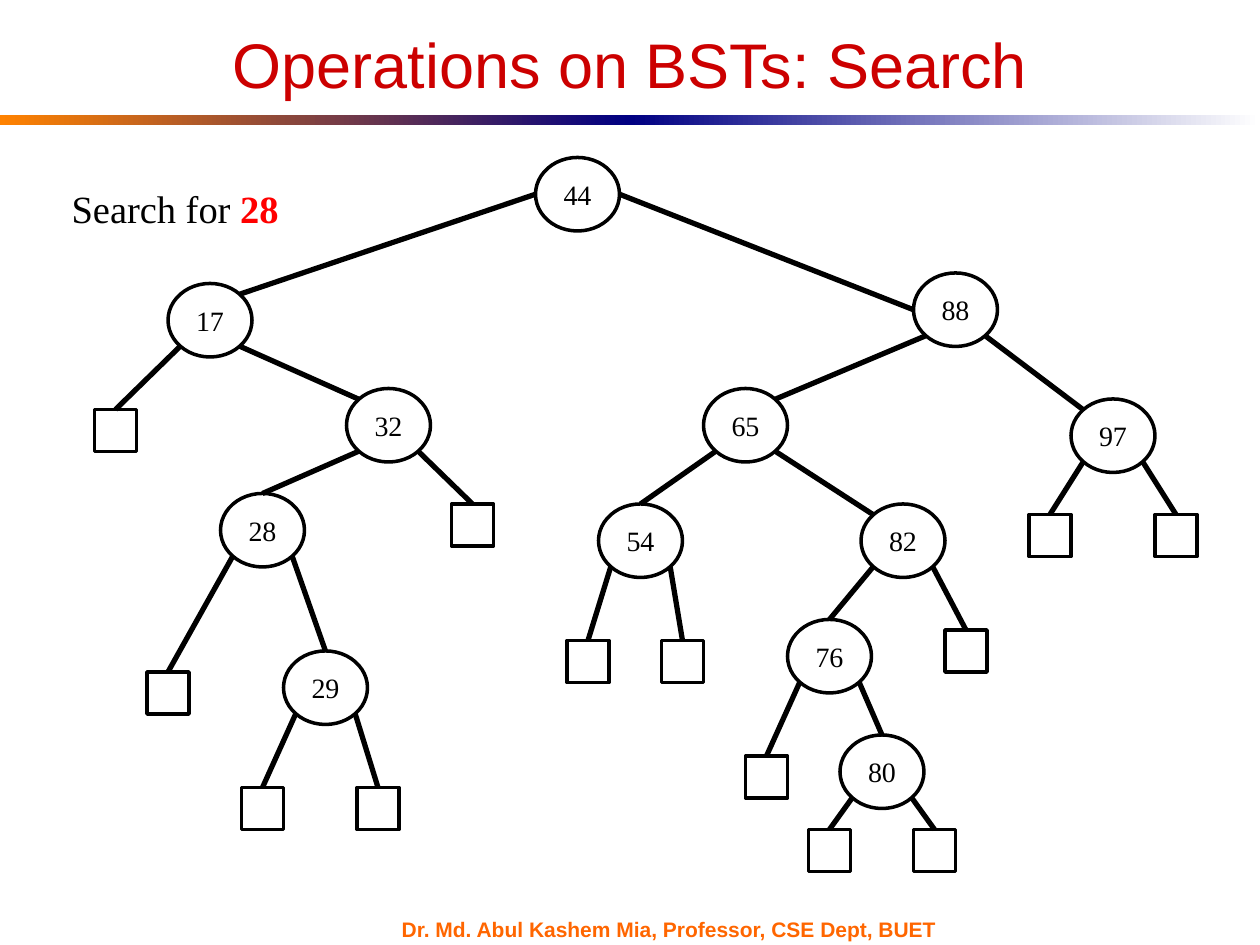
from math import sqrt

from lxml import etree
from pptx import Presentation
from pptx.dml.color import RGBColor
from pptx.enum.shapes import MSO_CONNECTOR, MSO_SHAPE
from pptx.enum.text import MSO_ANCHOR, MSO_AUTO_SIZE, PP_ALIGN
from pptx.oxml.ns import qn
from pptx.util import Inches, Pt

OVAL, RECTANGLE = MSO_SHAPE.OVAL, MSO_SHAPE.RECTANGLE
STRAIGHT = MSO_CONNECTOR.STRAIGHT
MIDDLE, TOP = MSO_ANCHOR.MIDDLE, MSO_ANCHOR.TOP
CENTER = PP_ALIGN.CENTER
NO_AUTOFIT = MSO_AUTO_SIZE.NONE

BLACK = RGBColor(0x00, 0x00, 0x00)
WHITE = RGBColor(0xFF, 0xFF, 0xFF)
RED = RGBColor(0xFF, 0x00, 0x00)
TITLE_RED = RGBColor(0xCC, 0x00, 0x00)
ORANGE = RGBColor(0xFF, 0x82, 0x00)
NAVY = RGBColor(0x00, 0x00, 0x82)
FOOTER_ORANGE = RGBColor(0xFF, 0x66, 0x00)
SANS, SERIF = "Arial", "Times New Roman"

TITLE = "Operations on BSTs: Search"
FOOTER = "Dr. Md. Abul Kashem Mia, Professor, CSE Dept, BUET"
PROMPT = [("Search for ", BLACK, False), ("28", RED, True)]

# The tree lies on a grid of twelve cells to the inch.
CELL = Inches(1) / 12
NODE_SIZE = (8, 7)
LEAF_SIZE = (4, 4)

# key: (column, row), left child, right child; a child is a key or a leaf's cell
TREE = {
    44: ((51, 15), 17, 88),
    17: ((16, 27), (9, 39), 32),
    32: ((33, 37), 28, (43, 48)),
    28: ((21, 47), (14, 64), 29),
    29: ((27, 62), (23, 75), (34, 75)),
    88: ((87, 26), 65, 97),
    65: ((67, 37), 54, 82),
    97: ((102, 38), (98, 49), (110, 49)),
    54: ((57, 48), (54, 61), (63, 61)),
    82: ((82, 48), 76, (90, 60)),
    76: ((75, 59), (71, 72), 80),
    80: ((80, 70), (77, 79), (87, 79)),
}
ROOT = 44

# Points on an oval, as shares of its half width and half height
DIAGONAL = 1 / sqrt(2)
LEFT, RIGHT = (-1, 0), (1, 0)
TOP_LEFT, TOP_RIGHT = (-DIAGONAL, -DIAGONAL), (DIAGONAL, -DIAGONAL)
BOTTOM_LEFT, BOTTOM_RIGHT = (-DIAGONAL, DIAGONAL), (DIAGONAL, DIAGONAL)

# Edges arrive at the top of a child, except at these nodes
ARRIVALS = {17: TOP_RIGHT, 32: TOP_LEFT, 88: LEFT,
            65: TOP_RIGHT, 97: TOP_LEFT, 82: TOP_LEFT}


def style_run(run, font, size, color, bold=False):
    run.font.name = font
    run.font.size = Pt(size)
    run.font.color.rgb = color
    run.font.bold = bold


def add_label(page, box, runs, font, size, anchor):
    """Add an unwrapped text box; runs are (text, colour, bold)."""
    label = page.shapes.add_textbox(*map(Inches, box))
    frame = label.text_frame
    frame.word_wrap = False
    frame.vertical_anchor = anchor
    for text, color, bold in runs:
        run = frame.paragraphs[0].add_run()
        run.text = text
        style_run(run, font, size, color, bold)


def add_title(page):
    title = page.shapes.title
    title.left, title.top = Inches(0.5), Inches(0.25)
    title.width, title.height = Inches(9), Inches(0.51)
    frame = title.text_frame
    frame.text = TITLE
    frame.auto_size = NO_AUTOFIT
    frame.vertical_anchor = MIDDLE
    frame.paragraphs[0].alignment = CENTER
    style_run(frame.paragraphs[0].runs[0], SANS, 36, TITLE_RED)


def add_gradient_bar(page, left, colors):
    bar = page.shapes.add_shape(RECTANGLE, Inches(left), Inches(0.91),
                                Inches(5), Inches(0.08))
    bar.shadow.inherit = False
    bar.line.fill.background()
    bar.fill.gradient()
    bar.fill.gradient_angle = 0
    for stop, color in zip(bar.fill.gradient_stops, colors):
        stop.color.rgb = color


def add_outlined(page, kind, cell, size):
    left, top, width, height = (round(n * CELL) for n in cell + size)
    shape = page.shapes.add_shape(kind, left, top, width, height)
    shape.shadow.inherit = False
    shape.fill.solid()
    shape.fill.fore_color.rgb = WHITE
    shape.line.color.rgb = BLACK
    shape.line.width = Pt(2)
    return shape


def add_node(page, key, cell):
    node = add_outlined(page, OVAL, cell, NODE_SIZE)
    frame = node.text_frame
    frame.text = str(key)
    frame.vertical_anchor = MIDDLE
    frame.paragraphs[0].alignment = CENTER
    style_run(frame.paragraphs[0].runs[0], SERIF, 16, BLACK)
    return node


def point_on(shape, site):
    return (round(shape.left + shape.width / 2 * (1 + site[0])),
            round(shape.top + shape.height / 2 * (1 + site[1])))


def add_edge(page, parent, departure, child, arrival):
    """Draw a line to the child's arrival point, or join its top if None."""
    end = point_on(child, arrival or (0, -1))
    edge = page.shapes.add_connector(STRAIGHT, *point_on(parent, departure), *end)
    if arrival is None:
        edge.end_connect(child, 0)
    edge.line.color.rgb = BLACK
    edge.line.width = Pt(3)
    etree.SubElement(edge.element.spPr, qn("a:effectLst"))


def add_tree(page):
    nodes = {key: add_node(page, key, cell) for key, (cell, *_) in TREE.items()}
    for key, (_, *children) in TREE.items():
        sides = (LEFT, RIGHT) if key == ROOT else (BOTTOM_LEFT, BOTTOM_RIGHT)
        for child, departure in zip(children, sides):
            if child in nodes:
                shape = nodes[child]
            else:
                shape = add_outlined(page, RECTANGLE, child, LEAF_SIZE)
            add_edge(page, nodes[key], departure, shape, ARRIVALS.get(child))


def main():
    deck = Presentation()
    deck.slide_width, deck.slide_height = Inches(10), Inches(7.5)
    page = deck.slides.add_slide(deck.slide_layouts[5])
    add_gradient_bar(page, 0, (ORANGE, NAVY))
    add_gradient_bar(page, 5, (NAVY, WHITE))
    add_label(page, (3.09, 7.28, 4.67, 0.18), [(FOOTER, FOOTER_ORANGE, True)],
              SANS, 12, MIDDLE)
    add_tree(page)
    add_label(page, (0.47, 1.42, 2.09, 0.47), PROMPT, SERIF, 22, TOP)
    add_title(page)
    deck.save("out.pptx")


if __name__ == "__main__":
    main()
